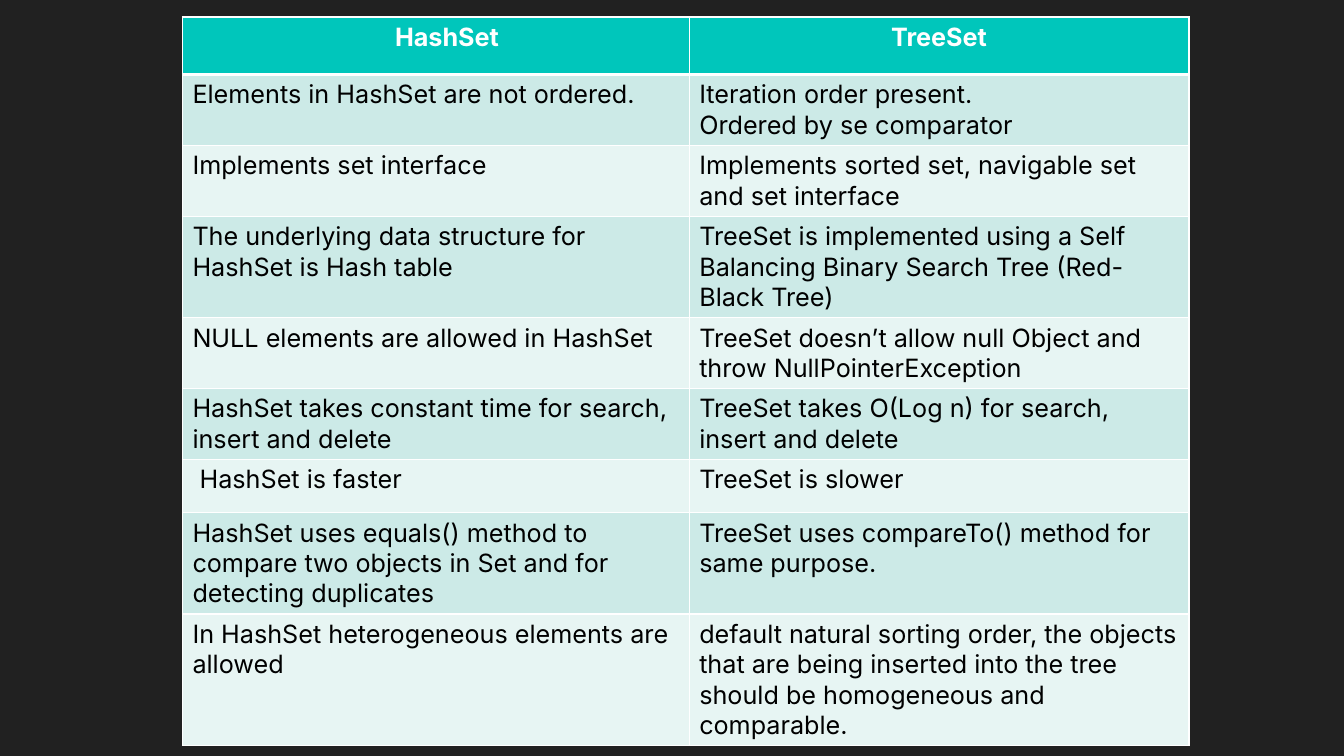
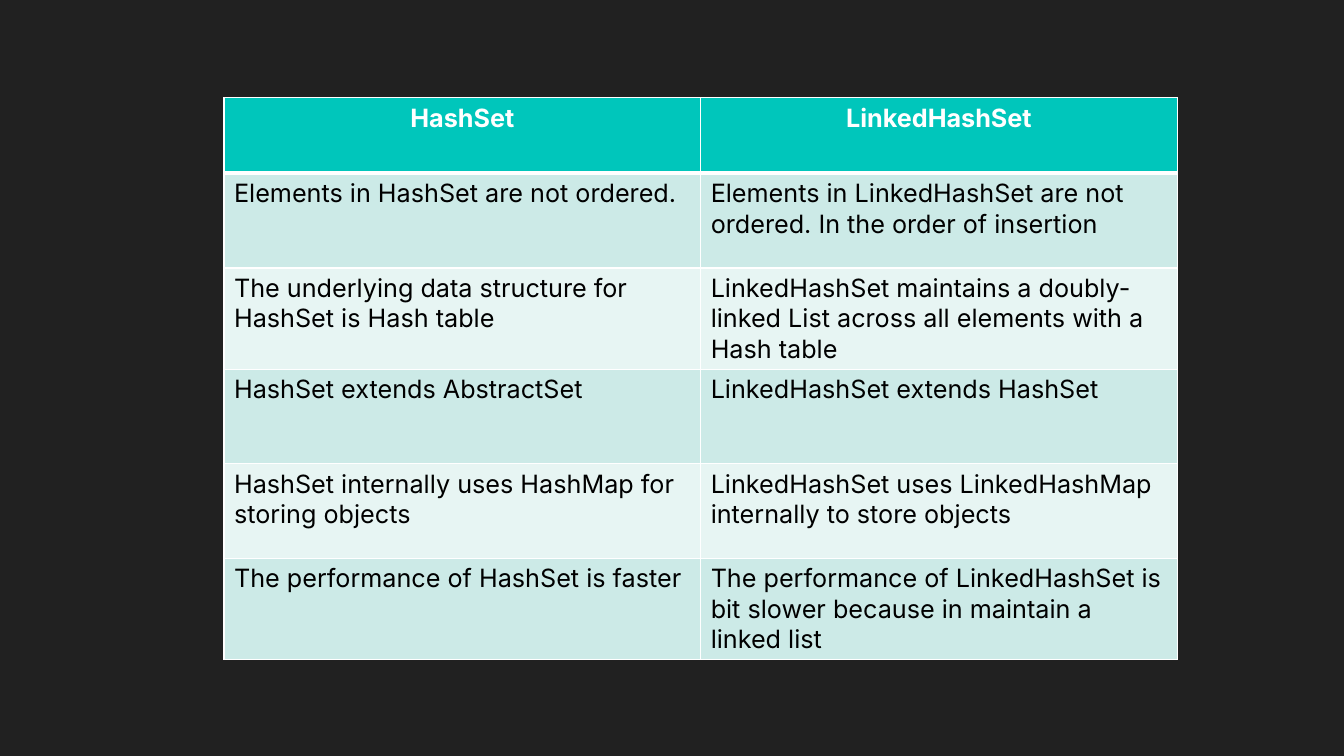
import lxml.etree
import pptx
import pptx.dml.color
import pptx.enum.text
import pptx.oxml.ns
import pptx.util

Pt = pptx.util.Pt
FONT = "Inter"
SIZE = 18
PAD = 7.2
COLORS = {
    "back": "212121",
    "head": "00C6BB",
    "odd": "CCEAE7",
    "even": "E7F5F3",
    "line": "FFFFFF",
    "title": "FFFFFF",
    "text": "000000",
}

TREE = [
    ("HashSet", "TreeSet"),
    ("Elements in HashSet are not ordered.",
     "Iteration order present.\nOrdered by se comparator"),
    ("Implements\u00a0set interface",
     "Implements\u00a0sorted set, navigable set and set interface"),
    ("The underlying data structure for HashSet is\u00a0Hash table",
     "TreeSet is implemented using a Self Balancing Binary Search Tree "
     "(Red-Black Tree)"),
    ("NULL elements are allowed in HashSet",
     "TreeSet doesn\u2019t allow null Object and throw NullPointerException"),
    ("HashSet takes constant time for search, insert and delete",
     "TreeSet takes O(Log n) for search, insert and delete"),
    ("\u00a0HashSet is faster", "TreeSet is slower"),
    ("HashSet uses equals() method to compare two objects in Set and for "
     "detecting duplicates",
     "TreeSet uses compareTo() method for same purpose."),
    ("In\u00a0HashSet heterogeneous elements are allowed",
     "default natural sorting order, the objects that are being inserted "
     "into the tree should be homogeneous and comparable."),
]

LINKED = [
    ("HashSet", "LinkedHashSet"),
    ("Elements in HashSet are not ordered.",
     "Elements in LinkedHashSet are not ordered. In the order of insertion"),
    ("The underlying data structure for HashSet is\u00a0Hash table",
     "LinkedHashSet maintains a doubly-linked List across all elements with "
     "a Hash table"),
    ("HashSet extends AbstractSet", "LinkedHashSet extends HashSet"),
    ("HashSet internally uses HashMap for storing objects",
     "LinkedHashSet uses LinkedHashMap internally to store objects"),
    ("The performance of HashSet is faster",
     "The performance of LinkedHashSet is bit slower because in maintain a "
     "linked list"),
]


def color(name):
    """Return the named colour."""
    return pptx.dml.color.RGBColor.from_string(COLORS[name])


def paint(fill, name):
    """Make a fill solid in the named colour."""
    fill.solid()
    fill.fore_color.rgb = color(name)


def add_page(deck):
    """Add a blank slide with the dark background."""
    page = deck.slides.add_slide(deck.slide_layouts[6])
    paint(page.background.fill, "back")
    return page


def set_edges(cell, **widths):
    """Draw the cell borders L, R, T and B, 1 point wide unless given."""
    qn = pptx.oxml.ns.qn
    props = cell._tc.get_or_add_tcPr()
    for side in "LRTB":
        width = str(Pt(widths.get(side, 1)))
        line = lxml.etree.SubElement(props, qn("a:ln" + side), w=width)
        solid = lxml.etree.SubElement(line, qn("a:solidFill"))
        lxml.etree.SubElement(solid, qn("a:srgbClr"), val=COLORS["line"])


def set_text(cell, text, head):
    """Write the cell text, centred and bold in the header row."""
    cell.text_frame.text = text
    for para in cell.text_frame.paragraphs:
        if head:
            para.alignment = pptx.enum.text.PP_ALIGN.CENTER
        for run in para.runs:
            run.font.name = FONT
            run.font.size = Pt(SIZE)
            run.font.bold = head
            run.font.color.rgb = color("title" if head else "text")


def add_grid(page, left, top, cols, rows, data):
    """Add a banded table with a header row and return it."""
    frame = page.shapes.add_table(len(rows), len(cols), Pt(left), Pt(top),
                                  Pt(sum(cols)), Pt(sum(rows)))
    grid = frame.table
    for col, width in zip(grid.columns, cols):
        col.width = Pt(width)
    for num, (row, height) in enumerate(zip(grid.rows, rows)):
        row.height = Pt(height)
        band = "head" if num == 0 else "odd" if num % 2 else "even"
        for cell, text in zip(row.cells, data[num]):
            set_edges(cell, B=3 if num == 0 else 1, T=3 if num == 1 else 1)
            paint(cell.fill, band)
            set_text(cell, text, num == 0)
    return grid


def main():
    """Build both comparison slides."""
    deck = pptx.Presentation()
    deck.slide_width, deck.slide_height = Pt(960), Pt(540)

    rows = [41, 50, 50, 71.5, 50, 50, 38, 71.5, 92]
    grid = add_grid(add_page(deck), 130.3, 12.2, [362, 357], rows, TREE)
    grid.cell(0, 0).margin_left = Pt(PAD + 16)

    rows = [54] + [67.6] * 5
    add_grid(add_page(deck), 160, 69.8, [340.5] * 2, rows, LINKED)
    deck.save("out.pptx")


main()
